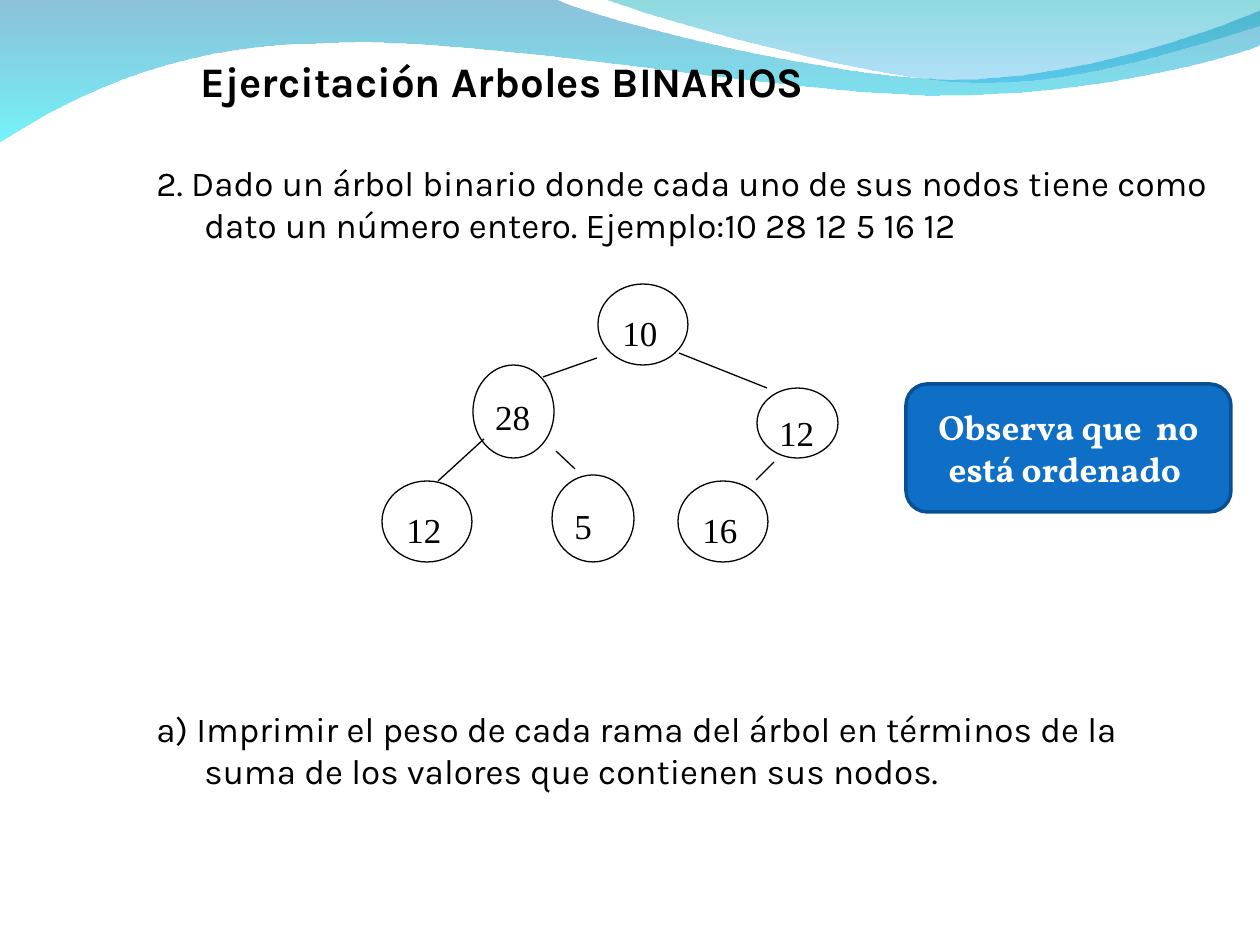
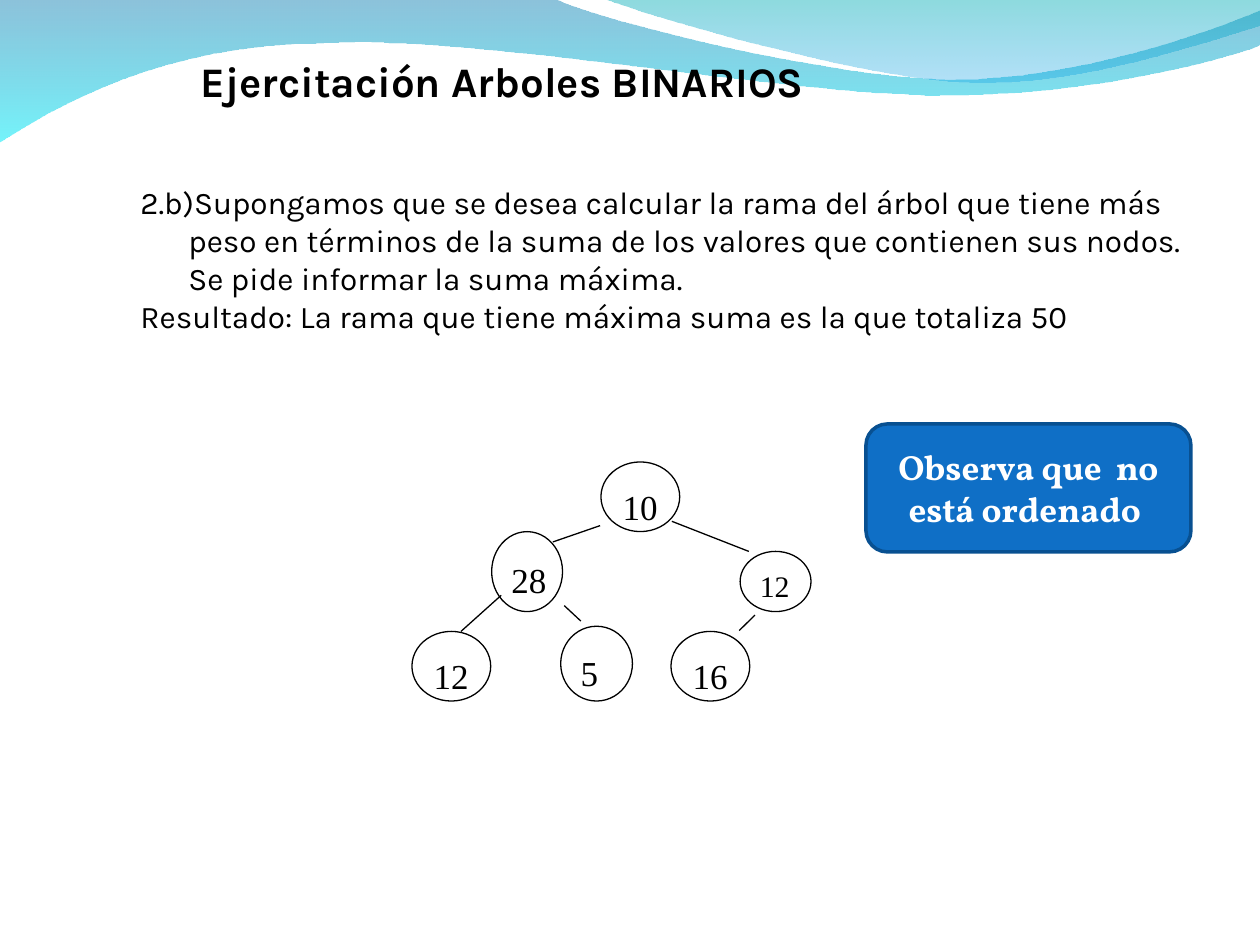
import pptx
import pptx.util
import pptx.dml.color
import pptx.enum.shapes
import pptx.enum.text
import pptx.oxml
import pptx.oxml.ns
import lxml.etree
from dataclasses import dataclass


@dataclass(frozen=True)
class Theme:
    ink: str = "000000"
    paper: str = "FFFFFF"
    note: str = "0F6FC6"
    edge: str = "085091"
    sans: str = "Karla"
    serif: str = "Vollkorn"
    node: str = "Times New Roman"
    head: int = 24
    text: int = 20
    small: int = 18
    tiny: int = 17


look = Theme()
rgb = pptx.dml.color.RGBColor.from_string
qn = pptx.oxml.ns.qn
kinds = pptx.enum.shapes.MSO_SHAPE
anchor = pptx.enum.text.MSO_ANCHOR
align = pptx.enum.text.PP_ALIGN


def px(n):
    return round(n * 914400 / 126)


def style(par, size, face, color, bold=False):
    par.font.size = pptx.util.Pt(size)
    par.font.name = face
    par.font.bold = bold
    par.font.color.rgb = rgb(color)


# Waves: lines (one point) and curves (three points), then gradient stops
waves = [
    ([[(0, -1)], [(555, -1)],
      [(600, 21), (837, 79), (956, 79)], [(1075, 79), (1207, 33), (1260, 11)],
      [(1261, 45)],
      [(1239, 55), (1096, 96), (940, 95)], [(783, 95), (481, 35), (324, 43)],
      [(163, 44), (58, 105), (-1, 142)]],
     [("0079AF", 45), ("00EBF8", 55)]),
    ([[(604, -1)],
      [(641, 14), (859, 78), (969, 82)], [(1079, 87), (1211, 40), (1260, 26)],
      [(1260, 0)]],
     [("00ADB6", 45), ("009BE5", 30)]),
]

# Tree: left, top, width, height, label; then the branches
nodes = [
    (216, 0, 90, 81, "10"),
    (91, 81, 81, 93, "28"),
    (375, 104, 81, 70, "12"),
    (170, 191, 82, 87, "5"),
    (296, 197, 90, 81, "16"),
    (0, 197, 90, 81, "12"),
]
edges = [
    (215, 74, 161, 93),
    (297, 69, 385, 104),
    (102, 155, 56, 197),
    (174, 167, 193, 185),
    (392, 178, 374, 196),
]

# What differs from slide to slide
pages = [
    dict(
        body=(144, 155, 1082, 753), size=look.text, gap=264,
        text=["2. Dado un árbol binario donde cada uno de sus nodos tiene como "
              "dato un número entero. Ejemplo:10 28 12 5 16 12",
              "a) Imprimir el peso de cada rama del árbol en términos de la "
              "suma de los valores que contienen sus nodos."],
        tree=(382, 284, 1, 1), right=look.text, space=1,
        title=895, note=(906, 384)),
    dict(
        body=(128, 177, 1081, 615), size=look.small, gap=0,
        text=["2.b)Supongamos que se desea calcular la rama del árbol que tiene "
              "más peso en términos de la suma de los valores que contienen sus "
              "nodos. Se pide informar la suma máxima.",
              "Resultado: La rama que tiene máxima suma es la que totaliza 50"],
        tree=(412, 462, 0.875, 0.86), right=look.tiny, space=0.9,
        title=796, note=(866, 424)),
]

deck = pptx.Presentation()
deck.slide_width, deck.slide_height = px(1260), px(945)
plan = deck.slide_layouts[5]

# Footers of the layout are not used
for hold in list(plan.placeholders):
    if hold.placeholder_format.idx >= 10:
        plan.shapes.element.remove(hold.element)

for page in pages:
    slide = deck.slides.add_slide(plan)
    shapes = slide.shapes

    # Waves are drawn once and kept in the layout
    if page is pages[0]:
        for spot, (parts, stops) in enumerate(waves):
            ends = [(px(x), px(y)) for x, y in (part[-1] for part in parts)]
            pen = shapes.build_freeform(*ends[0], scale=1.0)
            pen.add_line_segments(ends[1:], close=True)
            wave = pen.convert_to_shape()

            # Bend the segments that are curves
            lines = list(wave.element.iter(qn("a:lnTo")))
            for line, part in zip(lines, parts[1:]):
                if len(part) == 3:
                    line.tag = qn("a:cubicBezTo")
                    for slot, (x, y) in enumerate(part[:2]):
                        dot = lxml.etree.Element(qn("a:pt"))
                        dot.set("x", str(px(x) - wave.left))
                        dot.set("y", str(px(y) - wave.top))
                        line.insert(slot, dot)

            wave.shadow.inherit = False
            wave.line.fill.background()
            wave.fill.gradient()
            wave.fill.gradient_angle = 270
            for stop, (color, _) in zip(wave.fill.gradient_stops, stops):
                stop.color.rgb = rgb(color)
            tints = list(wave.element.spPr.iter(qn("a:srgbClr")))
            for tint, (_, alpha) in zip(tints, stops):
                veil = lxml.etree.SubElement(tint, qn("a:alpha"))
                veil.set("val", str(alpha * 1000))
            plan.shapes.element.insert(2 + spot, wave.element)

    # Title
    title = shapes.title
    title.left, title.top, title.width, title.height = map(
        px, (188, 16, page["title"], 129))
    frame = title.text_frame
    frame.text = "Ejercitación Arboles BINARIOS"
    frame.auto_size = pptx.enum.text.MSO_AUTO_SIZE.NONE
    frame.vertical_anchor = anchor.MIDDLE
    frame.paragraphs[0].alignment = align.LEFT
    style(frame.paragraphs[0], look.head, look.sans, look.ink, True)

    # Statement, with hanging indents
    frame = shapes.add_textbox(*map(px, page["body"])).text_frame
    frame.word_wrap = True
    frame.text = "\n".join(page["text"])
    for par in frame.paragraphs:
        props = par._p.get_or_add_pPr()
        props.set("marL", str(px(48)))
        props.set("indent", str(px(-48)))
        style(par, page["size"], look.sans, look.ink)
    if page["gap"]:
        frame.paragraphs[1].space_before = pptx.util.Pt(page["gap"])

    # Tree nodes
    left, top, wide, tall = page["tree"]
    tree = shapes.add_group_shape().shapes
    for spot, (x, y, w, h, label) in enumerate(nodes):
        x, y, w, h = left + x * wide, top + y * tall, w * wide, h * tall
        ring = tree.add_shape(kinds.OVAL, px(x), px(y), px(w), px(h))
        ring.shadow.inherit = False
        ring.fill.solid()
        ring.fill.fore_color.rgb = rgb(look.paper)
        ring.line.color.rgb = rgb(look.ink)
        ring.line.width = pptx.util.Pt(0.75)
        tag = tree.add_textbox(
            px(x + w / 4), px(y + h / 3), px(w), px(h * 2 / 3))
        frame = tag.text_frame
        frame.word_wrap = True
        frame.margin_left = frame.margin_right = px(2)
        frame.margin_top = frame.margin_bottom = 0
        frame.text = label
        par = frame.paragraphs[0]
        size = look.text
        if spot == 2:
            size = page["right"]
            par.line_spacing = float(page["space"])
        style(par, size, look.node, look.ink)

    # Tree branches
    for x1, y1, x2, y2 in edges:
        edge = tree.add_connector(
            pptx.enum.shapes.MSO_CONNECTOR.STRAIGHT,
            px(left + x1 * wide), px(top + y1 * tall),
            px(left + x2 * wide), px(top + y2 * tall))
        edge.line.color.rgb = rgb(look.ink)
        edge.line.width = pptx.util.Pt(0.75)
        lxml.etree.SubElement(edge.element.spPr, qn("a:effectLst"))

    # Note
    note = shapes.add_shape(
        kinds.ROUNDED_RECTANGLE, *map(px, (*page["note"], 325, 128)))
    note.shadow.inherit = False
    note.fill.solid()
    note.fill.fore_color.rgb = rgb(look.note)
    note.line.color.rgb = rgb(look.edge)
    note.line.width = pptx.util.Pt(2)
    frame = note.text_frame
    frame.word_wrap = True
    frame.vertical_anchor = anchor.MIDDLE
    frame.text = "Observa que  no está ordenado "
    frame.paragraphs[0].alignment = align.CENTER
    style(frame.paragraphs[0], look.text, look.serif, look.paper, True)

deck.save("out.pptx")
